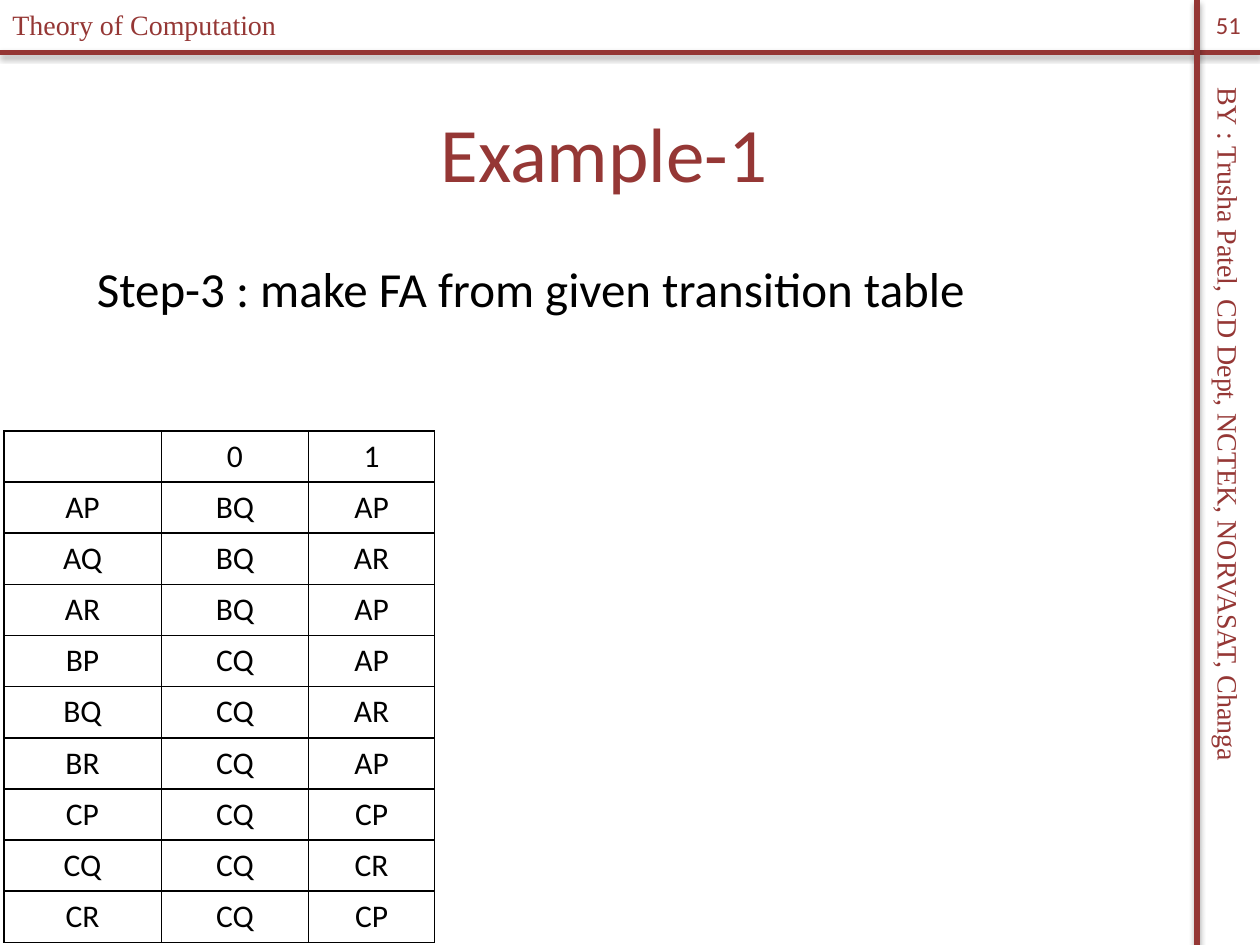
from lxml.etree import SubElement
from pptx import Presentation
from pptx.dml.color import RGBColor
from pptx.enum.shapes import MSO_CONNECTOR
from pptx.enum.text import MSO_ANCHOR, PP_ALIGN
from pptx.oxml import parse_xml
from pptx.oxml.ns import nsdecls, qn
from pptx.util import Inches, Pt

COLORS = {"accent": "953735", "ink": "000000"}
UNIT = Inches(0.1)
COLUMNS, ROWS = 100, 75
RULE_COLUMN, RULE_ROW = 95, 4.15
TABLE_COLUMNS = (12.5, 11.7, 10)
TABLE_ROW = 4.06
TRANSITIONS = (
    ("", "0", "1"),
    ("AP", "BQ", "AP"),
    ("AQ", "BQ", "AR"),
    ("AR", "BQ", "AP"),
    ("BP", "CQ", "AP"),
    ("BQ", "CQ", "AR"),
    ("BR", "CQ", "AP"),
    ("CP", "CQ", "CP"),
    ("CQ", "CQ", "CR"),
    ("CR", "CQ", "CP"),
)


def grid(*cells):
    """Convert grid columns and rows to slide lengths."""
    return [round(cell * UNIT) for cell in cells]


def write(frame, text, size, color, font="Calibri", align=PP_ALIGN.LEFT):
    """Put one formatted paragraph in a text frame and return it."""
    frame.text = text
    para = frame.paragraphs[0]
    para.alignment = align
    para.font.size = Pt(size)
    para.font.name = font
    para.font.bold = False
    para.font.color.rgb = RGBColor.from_string(COLORS[color])
    return para


def add_text(page, area, text, size, color, anchor=MSO_ANCHOR.TOP, **style):
    """Add a wrapped text box on the grid and return it."""
    box = page.shapes.add_textbox(*grid(*area))
    box.text_frame.word_wrap = True
    box.text_frame.vertical_anchor = anchor
    write(box.text_frame, text, size, color, **style)
    return box


def add_rule(page, *ends):
    """Add a thick accent line with a soft shadow below it."""
    rule = page.shapes.add_connector(MSO_CONNECTOR.STRAIGHT, *grid(*ends))
    rule.line.width = Pt(3)
    rule.line.color.rgb = RGBColor.from_string(COLORS["accent"])
    rule._element.spPr.append(parse_xml(
        f'<a:effectLst {nsdecls("a")}>'
        f'<a:outerShdw blurRad="{Pt(3.1)}" dist="{Pt(1.8)}" dir="5400000" rotWithShape="0">'
        f'<a:srgbClr val="{COLORS["ink"]}"><a:alpha val="35000"/></a:srgbClr>'
        '</a:outerShdw></a:effectLst>'))


def add_title(page, area, text):
    """Move and format the title placeholder."""
    title = page.shapes.title
    title.left, title.top, title.width, title.height = grid(*area)
    title.text_frame.vertical_anchor = MSO_ANCHOR.MIDDLE
    write(title.text_frame, text, 44, "accent", align=PP_ALIGN.CENTER)


def add_borders(cell):
    """Draw a thin line on each side of a table cell."""
    properties = cell._tc.get_or_add_tcPr()
    for index, side in enumerate(("lnL", "lnR", "lnT", "lnB")):
        line = SubElement(properties, qn(f"a:{side}"), w=str(Pt(1)))
        fill = SubElement(line, qn("a:solidFill"))
        SubElement(fill, qn("a:srgbClr"), val=COLORS["ink"])
        properties.insert(index, line)


def add_transition_table(page, left, top):
    """Add the transition table with its top left corner on the grid."""
    area = grid(left, top, sum(TABLE_COLUMNS), TABLE_ROW * len(TRANSITIONS))
    table = page.shapes.add_table(len(TRANSITIONS), len(TABLE_COLUMNS), *area).table
    table.first_row = table.horz_banding = False
    for column, width in zip(table.columns, grid(*TABLE_COLUMNS)):
        column.width = width
    for row, states in zip(table.rows, TRANSITIONS):
        row.height = grid(TABLE_ROW)[0]
        for cell, state in zip(row.cells, states):
            cell.fill.background()
            add_borders(cell)
            write(cell.text_frame, state, 18, "ink", align=PP_ALIGN.CENTER)


def main():
    """Build the slide and save the deck."""
    deck = Presentation()
    deck.slide_width, deck.slide_height = grid(COLUMNS, ROWS)
    page = deck.slides.add_slide(deck.slide_layouts[5])
    add_rule(page, 0, RULE_ROW, COLUMNS, RULE_ROW)
    add_rule(page, RULE_COLUMN, 0, RULE_COLUMN, ROWS)
    author = add_text(page, (65.4, 36.2, 64.2, 3.7),
                      "BY : Trusha Patel, CD Dept, NCTEK, NORVASAT, Changa",
                      16, "accent", font="Times New Roman")
    author.rotation = 90
    add_text(page, (0, 0.1, 32.9, 3.7), "Theory of Computation",
             16, "accent", font="Times New Roman")
    add_title(page, (1.7, 5.8, 92.5, 12.5), "Example-1")
    step = add_text(page, (6.7, 20, 87.5, 52.5),
                    "Step-3 : make FA from given transition table", 28, "ink")
    step.text_frame.paragraphs[0].space_before = Pt(5.6)
    add_text(page, (RULE_COLUMN, 0, COLUMNS - RULE_COLUMN, 4), "51", 14, "accent",
             anchor=MSO_ANCHOR.MIDDLE, align=PP_ALIGN.CENTER)
    add_transition_table(page, 0.3, 34.2)
    deck.save("out.pptx")


if __name__ == "__main__":
    main()
